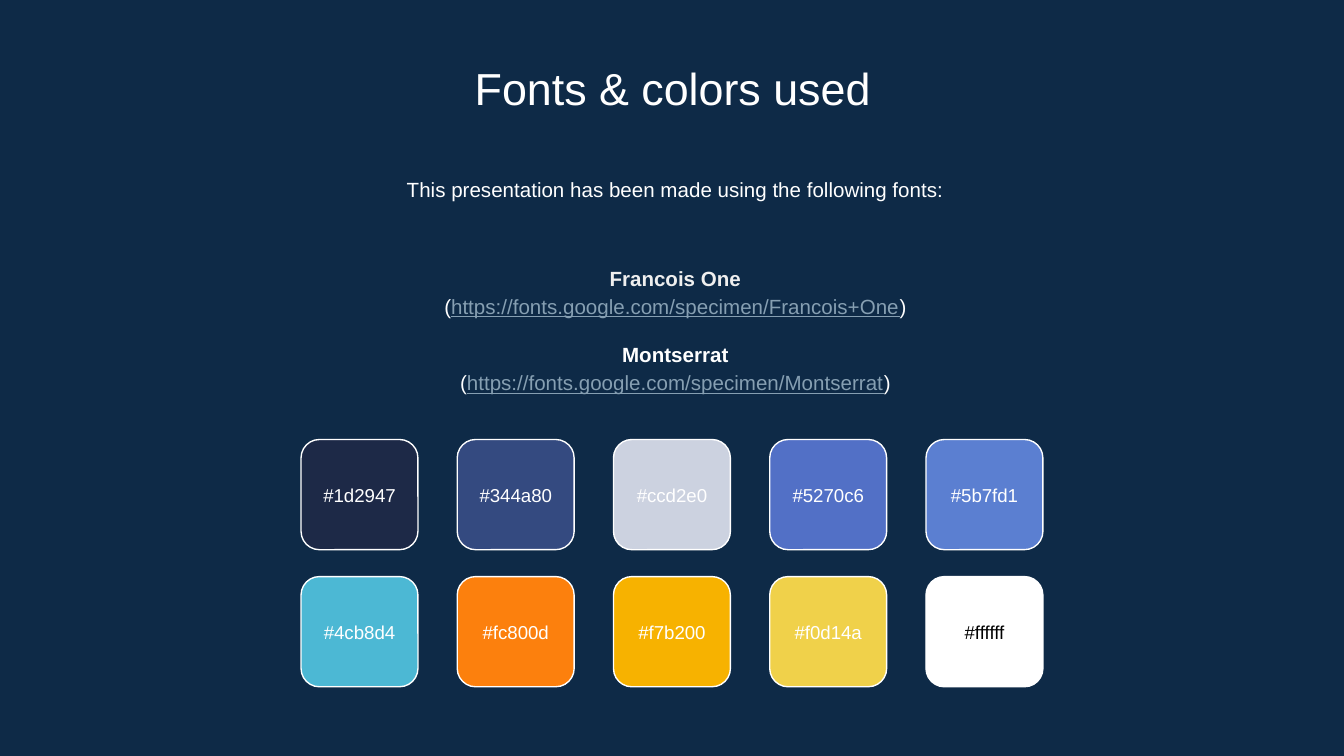
from dataclasses import dataclass

import pptx
import pptx.dml.color
import pptx.enum.shapes
import pptx.enum.text
import pptx.util


@dataclass(frozen=True)
class Theme:
    font: str = "Arial"
    background: str = "0E2A47"
    text: str = "FFFFFF"
    soft_text: str = "EFEFEF"
    dark_text: str = "000000"
    link: str = "869FB2"
    title_size: float = 24
    body_size: float = 11
    label_size: float = 10
    outline_width: float = 0.75
    line_spacing: float = 1.15
    entry_gap: float = 10.6


@dataclass(frozen=True)
class Box:
    left: float
    top: float
    width: float
    height: float

    def middle_band(self, height: float) -> "Box":
        return Box(self.left, self.top + (self.height - height) / 2, self.width, height)


@dataclass(frozen=True)
class Grid:
    left: float
    top: float
    last_left: float
    last_top: float
    columns: int
    rows: int
    cell_width: float
    cell_height: float

    def cell(self, column: int, row: int) -> Box:
        column_step = (self.last_left - self.left) / (self.columns - 1)
        row_step = (self.last_top - self.top) / (self.rows - 1)
        return Box(
            self.left + column * column_step,
            self.top + row * row_step,
            self.cell_width,
            self.cell_height,
        )


@dataclass(frozen=True)
class FontEntry:
    name: str
    address: str
    color: str


THEME = Theme()
SLIDE_WIDTH = 10
SLIDE_HEIGHT = SLIDE_WIDTH * 9 / 16
TITLE_BOX = Box(1.15, 0.35, 7.71, 0.53)
INTRO_BOX = Box(1.17, 1.19, 7.71, 0.48)
FONTS_BOX = Box(1.17, 1.76, 7.71, 1.37)
LABEL_HEIGHT = 0.48
SWATCH_ROWS = (
    ("1d2947", "344a80", "ccd2e0", "5270c6", "5b7fd1"),
    ("4cb8d4", "fc800d", "f7b200", "f0d14a", "ffffff"),
)
SWATCH_GRID = Grid(2.24, 3.27, 6.89, 4.29, len(SWATCH_ROWS[0]), len(SWATCH_ROWS), 0.87, 0.82)
FONT_ENTRIES = (
    FontEntry("Francois One", "https://fonts.google.com/specimen/Francois+One", THEME.soft_text),
    FontEntry("Montserrat", "https://fonts.google.com/specimen/Montserrat", THEME.text),
)


def rgb(color: str) -> pptx.dml.color.RGBColor:
    return pptx.dml.color.RGBColor.from_string(color.upper())


def lengths(box: Box) -> tuple:
    return tuple(pptx.util.Inches(value) for value in (box.left, box.top, box.width, box.height))


def format_font(font, size: float, color: str = THEME.text, bold: bool = False) -> None:
    font.name = THEME.font
    font.size = pptx.util.Pt(size)
    font.bold = bold
    font.color.rgb = rgb(color)


def prepare_frame(frame, anchor) -> None:
    frame.word_wrap = True
    frame.auto_size = pptx.enum.text.MSO_AUTO_SIZE.NONE
    frame.vertical_anchor = anchor
    frame.margin_left = frame.margin_right = pptx.util.Inches(0.1)
    frame.margin_top = frame.margin_bottom = pptx.util.Inches(0.1)


def center(paragraph, line_spacing: float = 1.0) -> None:
    paragraph.alignment = pptx.enum.text.PP_ALIGN.CENTER
    paragraph.line_spacing = line_spacing


def write_line(
    frame, text: str, anchor, size: float, color: str = THEME.text, line_spacing: float = 1.0
) -> None:
    prepare_frame(frame, anchor)
    frame.text = text
    paragraph = frame.paragraphs[0]
    center(paragraph, line_spacing)
    format_font(paragraph.runs[0].font, size, color)


def add_title(slide, text: str) -> None:
    title = slide.shapes.title
    title.left, title.top, title.width, title.height = lengths(TITLE_BOX)
    write_line(title.text_frame, text, pptx.enum.text.MSO_ANCHOR.TOP, THEME.title_size)


def add_intro(slide, text: str) -> None:
    frame = slide.shapes.add_textbox(*lengths(INTRO_BOX)).text_frame
    write_line(
        frame,
        text,
        pptx.enum.text.MSO_ANCHOR.TOP,
        THEME.body_size,
        line_spacing=THEME.line_spacing,
    )


def add_font_list(slide, entries: tuple[FontEntry, ...]) -> None:
    frame = slide.shapes.add_textbox(*lengths(FONTS_BOX)).text_frame
    prepare_frame(frame, pptx.enum.text.MSO_ANCHOR.MIDDLE)
    for index, entry in enumerate(entries):
        name = frame.add_paragraph() if index else frame.paragraphs[0]
        name.text = entry.name
        center(name, THEME.line_spacing)
        if index:
            name.space_before = pptx.util.Pt(THEME.entry_gap)
        format_font(name.runs[0].font, THEME.body_size, entry.color, bold=True)

        source = frame.add_paragraph()
        center(source, THEME.line_spacing)
        for text in ("(", entry.address, ")"):
            run = source.add_run()
            run.text = text
            is_link = text == entry.address
            format_font(run.font, THEME.body_size, THEME.link if is_link else THEME.text)
            run.font.underline = is_link


def add_swatch(slide, box: Box, color: str) -> None:
    swatch = slide.shapes.add_shape(
        pptx.enum.shapes.MSO_SHAPE.ROUNDED_RECTANGLE, *lengths(box)
    )
    swatch.shadow.inherit = False
    swatch.fill.solid()
    swatch.fill.fore_color.rgb = rgb(color)
    swatch.line.color.rgb = rgb(THEME.text)
    swatch.line.width = pptx.util.Pt(THEME.outline_width)

    label = slide.shapes.add_textbox(*lengths(box.middle_band(LABEL_HEIGHT)))
    label_color = THEME.dark_text if color.upper() == THEME.text else THEME.text
    write_line(
        label.text_frame,
        f"#{color}",
        pptx.enum.text.MSO_ANCHOR.MIDDLE,
        THEME.label_size,
        label_color,
    )


def main() -> None:
    presentation = pptx.Presentation()
    presentation.slide_width = pptx.util.Inches(SLIDE_WIDTH)
    presentation.slide_height = pptx.util.Inches(SLIDE_HEIGHT)
    slide = presentation.slides.add_slide(presentation.slide_layouts.get_by_name("Title Only"))
    slide.background.fill.solid()
    slide.background.fill.fore_color.rgb = rgb(THEME.background)

    add_title(slide, "Fonts & colors used")
    add_intro(slide, "This presentation has been made using the following fonts:")
    add_font_list(slide, FONT_ENTRIES)
    for row, colors in enumerate(SWATCH_ROWS):
        for column, color in enumerate(colors):
            add_swatch(slide, SWATCH_GRID.cell(column, row), color)

    presentation.save("out.pptx")


if __name__ == "__main__":
    main()
